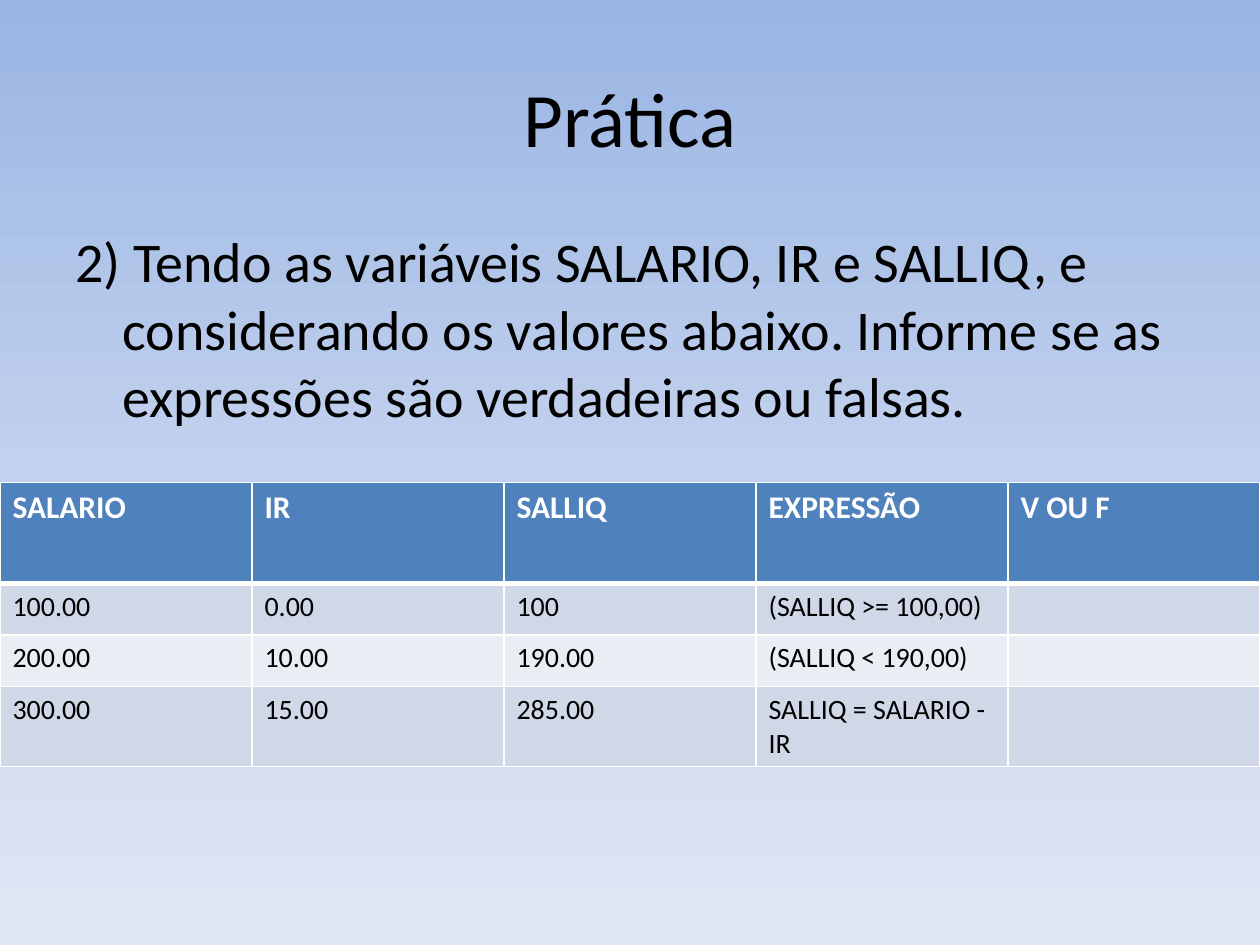
from copy import deepcopy

from lxml.etree import SubElement
from pptx import Presentation
from pptx.dml.color import RGBColor
from pptx.enum.text import MSO_ANCHOR, PP_ALIGN
from pptx.oxml.ns import qn
from pptx.util import Cm, Pt

SLIDE_WIDTH, SLIDE_HEIGHT = 25.4, 19.05
BACKGROUND_STOPS = [(0, "9AB5E4"), (0.5, "C2D1ED"), (1, "E1E8F5")]
HEADER_FILL = "4F81BD"
BAND_FILLS = ["D0D8E8", "E9EDF4"]

QUESTION = ("2) Tendo as variáveis SALARIO, IR e SALLIQ, e considerando os valores "
            "abaixo. Informe se as expressões são verdadeiras ou falsas.")
TABLE_ROWS = [
    ["SALARIO", "IR", "SALLIQ", "EXPRESSÃO", "V OU F"],
    ["100.00", "0.00", "100", "(SALLIQ >= 100,00)", ""],
    ["200.00", "10.00", "190.00", "(SALLIQ < 190,00)", ""],
    ["300.00", "15.00", "285.00", "SALLIQ = SALARIO - IR", ""],
]
ROW_HEIGHTS = [2.03, 1.04, 1.04, 1.04]


def color(hex_value):
    return RGBColor.from_string(hex_value)


class SlideBuilder:
    font_name = "Calibri"
    text_color = "000000"
    light_color = "FFFFFF"

    def __init__(self, slide):
        self.slide = slide

    def background(self, stops):
        fill = self.slide.background.fill
        fill.gradient()
        fill.gradient_angle = 270
        stop_list = self.slide.element.find(".//" + qn("a:gsLst"))
        while len(stop_list) < len(stops):
            stop_list.append(deepcopy(stop_list[0]))
        for stop, (position, hex_value) in zip(fill.gradient_stops, stops):
            stop.position = position
            stop.color.rgb = color(hex_value)

    def format_runs(self, paragraph, size, hex_value, bold=False):
        for run in paragraph.runs:
            run.font.name = self.font_name
            run.font.size = Pt(size)
            run.font.bold = bold
            run.font.color.rgb = color(hex_value)

    def text(self, text, left, top, width, height, size,
             align=PP_ALIGN.LEFT, anchor=MSO_ANCHOR.TOP, hanging=0):
        shape = self.slide.shapes.add_textbox(Cm(left), Cm(top), Cm(width), Cm(height))
        text_frame = shape.text_frame
        text_frame.word_wrap = True
        text_frame.vertical_anchor = anchor
        text_frame.text = text
        paragraph = text_frame.paragraphs[0]
        paragraph.alignment = align
        if hanging:
            properties = paragraph._p.get_or_add_pPr()
            properties.set("marL", str(Cm(hanging)))
            properties.set("indent", str(-Cm(hanging)))
        self.format_runs(paragraph, size, self.text_color)

    def cell_borders(self, cell, top=1, bottom=1):
        properties = cell._tc.get_or_add_tcPr()
        widths = {"a:lnL": 1, "a:lnR": 1, "a:lnT": top, "a:lnB": bottom}
        # Borders must come before the fill
        for index, (tag, width) in enumerate(widths.items()):
            line = SubElement(properties, qn(tag), w=str(Pt(width)))
            solid_fill = SubElement(line, qn("a:solidFill"))
            SubElement(solid_fill, qn("a:srgbClr"), val=self.light_color)
            properties.insert(index, line)

    def table(self, rows, left, top, width, row_heights):
        shape = self.slide.shapes.add_table(
            len(rows), len(rows[0]), Cm(left), Cm(top), Cm(width), Cm(sum(row_heights)))
        table = shape.table
        for row_index, (values, height) in enumerate(zip(rows, row_heights)):
            table.rows[row_index].height = Cm(height)
            is_header = row_index == 0
            fill = HEADER_FILL if is_header else BAND_FILLS[(row_index - 1) % 2]
            for column_index, value in enumerate(values):
                cell = table.cell(row_index, column_index)
                cell.text_frame.text = value
                cell.fill.solid()
                cell.fill.fore_color.rgb = color(fill)
                self.format_runs(cell.text_frame.paragraphs[0],
                                 18 if is_header else 16,
                                 self.light_color if is_header else self.text_color,
                                 bold=is_header)
                self.cell_borders(cell, top=3 if row_index == 1 else 1,
                                  bottom=3 if is_header else 1)


def main():
    presentation = Presentation()
    presentation.slide_width = Cm(SLIDE_WIDTH)
    presentation.slide_height = Cm(SLIDE_HEIGHT)
    builder = SlideBuilder(presentation.slides.add_slide(presentation.slide_layouts[6]))

    # Background
    builder.background(BACKGROUND_STOPS)

    # Title and question
    builder.text("Prática", 1.27, 0.76, 22.86, 3.18, 44,
                 align=PP_ALIGN.CENTER, anchor=MSO_ANCHOR.MIDDLE)
    builder.text(QUESTION, 1.27, 4.45, 22.86, 12.57, 32, hanging=0.95)

    # Table of values and expressions
    builder.table(TABLE_ROWS, 0, 9.73, SLIDE_WIDTH, ROW_HEIGHTS)

    presentation.save("out.pptx")


if __name__ == "__main__":
    main()
